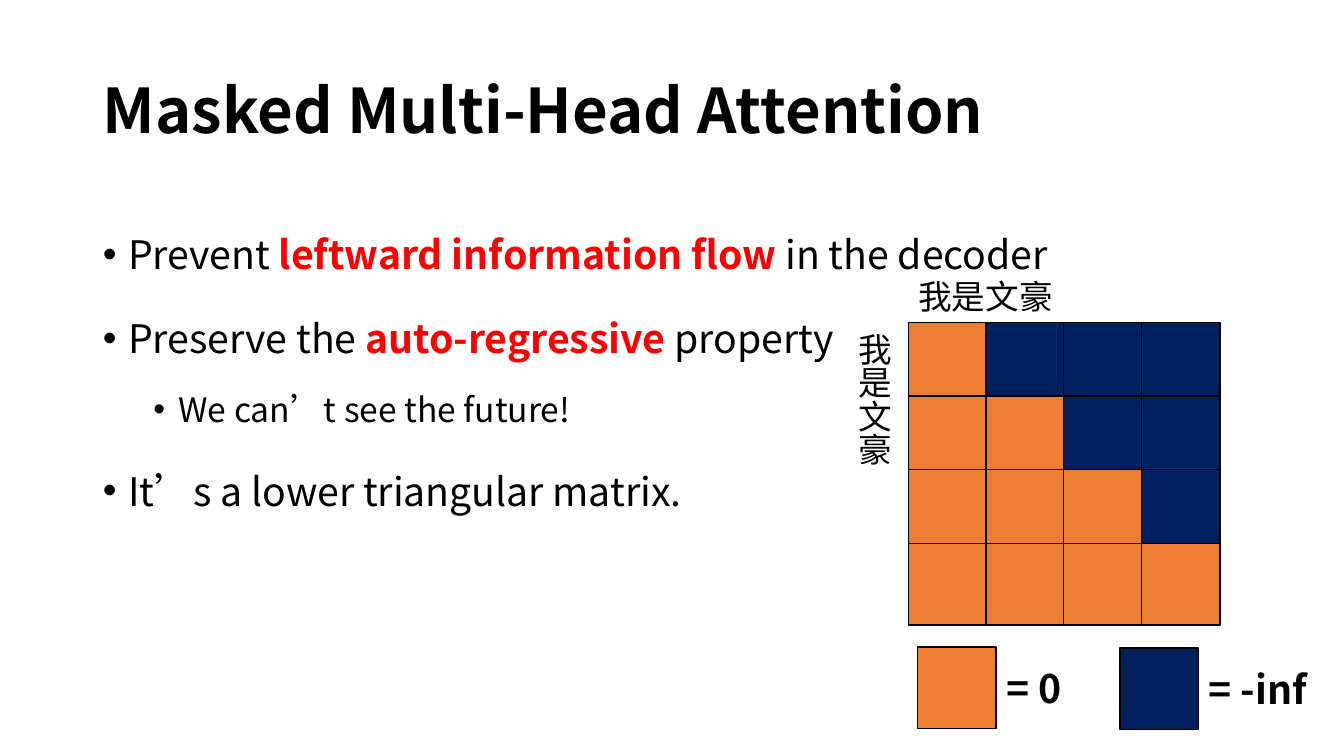
from dataclasses import dataclass

from lxml.etree import SubElement
from pptx import Presentation
from pptx.dml.color import RGBColor as Rgb
from pptx.enum.shapes import MSO_SHAPE as Shape
from pptx.enum.text import MSO_ANCHOR as Anchor, MSO_AUTO_SIZE as AutoSize, PP_ALIGN as Align
from pptx.oxml.ns import qn
from pptx.util import Pt

PX = 9144  # EMU per px, 100 px to the inch


@dataclass(frozen=True)
class Theme:
    font: str = "Noto Sans CJK SC"
    ink: Rgb = Rgb(0, 0, 0)
    accent: Rgb = Rgb(0xFF, 0, 0)
    visible: Rgb = Rgb(0xED, 0x7D, 0x31)
    masked: Rgb = Rgb(0, 0x20, 0x60)
    title: Pt = Pt(44)
    body: Pt = Pt(28)
    small: Pt = Pt(24)


THEME = Theme()
TOKENS = "我是文豪"
CELL_SIZE = (78, 81)
MATRIX_ORIGIN = (901, 320)
MATRIX_PITCH = (77, 73)

# Level and text parts; every second part is emphasised.
POINTS = [
    (0, ["Prevent ", "leftward information flow ", "in the decoder"]),
    (0, ["Preserve the ", "auto-regressive", " property"]),
    (1, ["We can’t see the future!"]),
    (0, ["It’s a lower triangular matrix."]),
]
# Size, left indent in px and space before of each list level.
LEVELS = [(THEME.body, 25, Pt(10)), (THEME.small, 75, Pt(5))]


def apply_format(target, **values):
    for name, value in values.items():
        setattr(target, name, value)


def place(shape, *box):
    edges = dict(zip(("left", "top", "width", "height"), (v * PX for v in box)))
    apply_format(shape, **edges)


def add_run(paragraph, text, size, bold=False, color=THEME.ink):
    run = paragraph.add_run()
    run.text = text
    apply_format(run.font, name=THEME.font, size=size, bold=bold)
    run.font.color.rgb = color
    east_asian = SubElement(run.font._element, qn("a:ea"))
    east_asian.set("typeface", THEME.font)


def add_bullet(paragraph, indent):
    properties = paragraph._p.get_or_add_pPr()
    properties.set("marL", str(indent * PX))
    properties.set("indent", str(-25 * PX))
    SubElement(properties, qn("a:buFont")).set("typeface", "Arial")
    SubElement(properties, qn("a:buChar")).set("char", "•")


def fill_title(title):
    place(title, 92, 40, 1150, 145)
    title.text_frame.vertical_anchor = Anchor.MIDDLE
    heading = title.text_frame.paragraphs[0]
    apply_format(heading, alignment=Align.LEFT, line_spacing=0.9)
    add_run(heading, "Masked Multi-Head Attention", THEME.title, bold=True)


def fill_points(body):
    place(body, 92, 200, 1150, 476)
    frame = body.text_frame
    for number, (level, parts) in enumerate(POINTS):
        point = frame.add_paragraph() if number else frame.paragraphs[0]
        size, indent, gap = LEVELS[level]
        add_bullet(point, indent)
        apply_format(point, level=level, line_spacing=1.5,
                     space_before=gap if number else Pt(0))
        for index, part in enumerate(parts):
            strong = index % 2 == 1
            add_run(point, part, size, strong, THEME.accent if strong else THEME.ink)


def add_cell(group, left, top, color):
    cell = group.shapes.add_shape(Shape.RECTANGLE, 0, 0, PX, PX)
    place(cell, left, top, *CELL_SIZE)
    cell.shadow.inherit = False
    cell.fill.solid()
    cell.fill.fore_color.rgb = color
    cell.line.color.rgb = THEME.ink
    cell.line.width = Pt(1)


def add_label(group, text, box, size, bold=False, wrap=True, align=Align.LEFT):
    label = group.shapes.add_textbox(*(v * PX for v in box))
    apply_format(label.text_frame, word_wrap=wrap, auto_size=AutoSize.SHAPE_TO_FIT_TEXT)
    paragraph = label.text_frame.paragraphs[0]
    paragraph.alignment = align
    add_run(paragraph, text, size, bold)
    return label


def add_mask_matrix(slide):
    """Draw the lower triangular mask with its tokens along the top and left."""
    group = slide.shapes.add_group_shape()
    (left, top), (step_x, step_y) = MATRIX_ORIGIN, MATRIX_PITCH
    for row in range(len(TOKENS)):
        for column in range(len(TOKENS)):
            color = THEME.visible if column <= row else THEME.masked
            add_cell(group, left + column * step_x, top + row * step_y, color)
    add_label(group, TOKENS, (left, 269, 309, 50), THEME.small, align=Align.JUSTIFY)
    side = add_label(group, TOKENS, (831, top, 61, 299), THEME.small, align=Align.JUSTIFY)
    side.text_frame._txBody.bodyPr.set("vert", "eaVert")


def add_legend(slide, left, top, color, meaning, width):
    group = slide.shapes.add_group_shape()
    add_cell(group, left, top, color)
    add_label(group, meaning, (left + CELL_SIZE[0], top + 12, width, 57),
              THEME.body, bold=True, wrap=False)


def main():
    deck = Presentation()
    apply_format(deck, slide_width=1333 * PX, slide_height=750 * PX)
    slide = deck.slides.add_slide(deck.slide_layouts[1])
    fill_title(slide.shapes.title)
    fill_points(slide.placeholders[1])
    add_mask_matrix(slide)
    add_legend(slide, 1111, 643, THEME.masked, "= -inf", 130)
    add_legend(slide, 910, 642, THEME.visible, "= 0", 81)
    deck.save("out.pptx")


if __name__ == "__main__":
    main()
